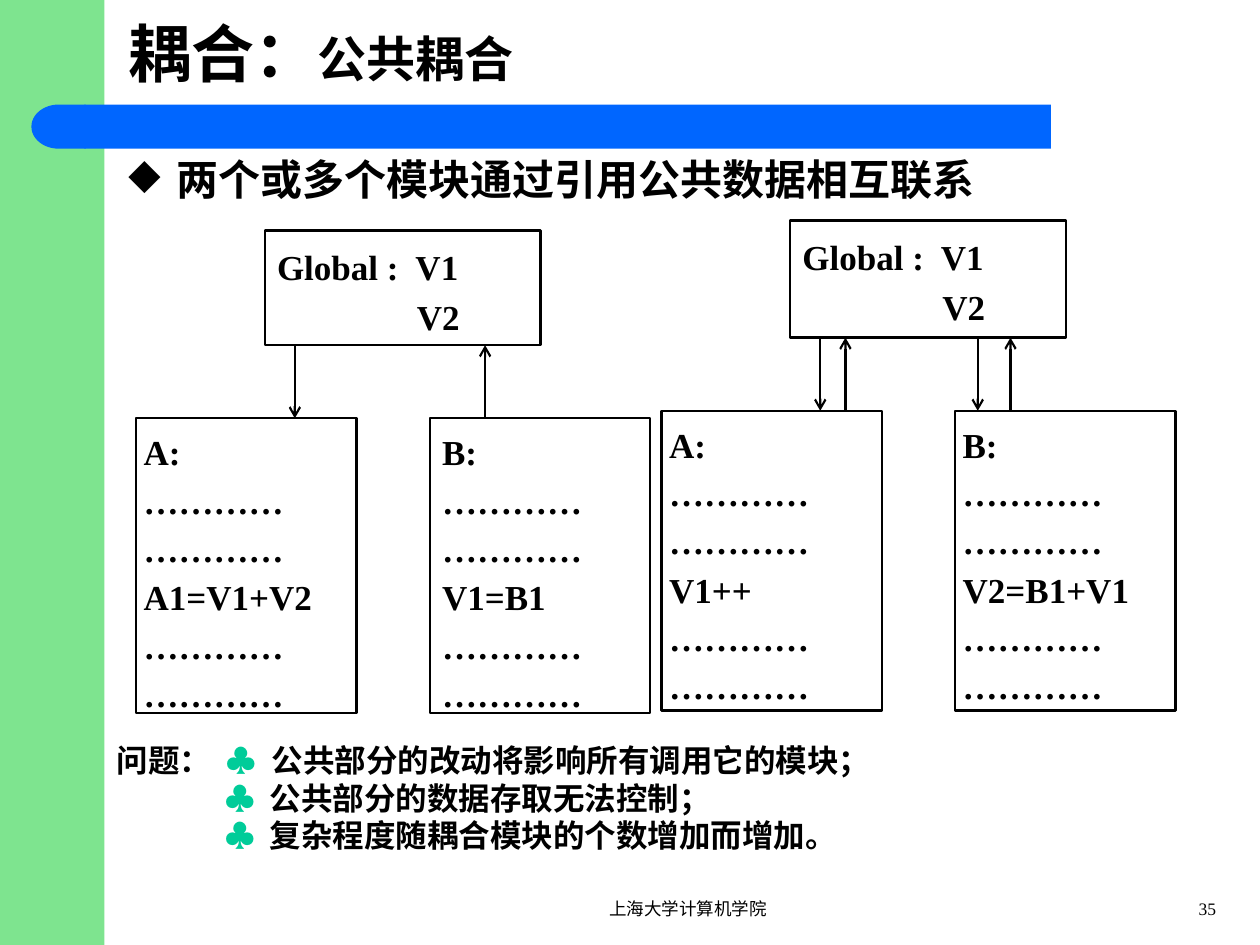
from lxml import etree
from pptx import Presentation
from pptx.dml.color import RGBColor
from pptx.enum.shapes import MSO_CONNECTOR, MSO_SHAPE
from pptx.enum.text import MSO_ANCHOR, PP_ALIGN
from pptx.oxml.ns import qn
from pptx.util import Inches, Pt

RECT, DELAY = MSO_SHAPE.RECTANGLE, MSO_SHAPE.FLOWCHART_DELAY
STRAIGHT = MSO_CONNECTOR.STRAIGHT
TOP, MIDDLE = MSO_ANCHOR.TOP, MSO_ANCHOR.MIDDLE
LEFT, CENTER = PP_ALIGN.LEFT, PP_ALIGN.CENTER
RIGHT, JUSTIFY = PP_ALIGN.RIGHT, PP_ALIGN.JUSTIFY

COLORS = {"black": "000000", "white": "FFFFFF", "side": "7EE48F",
          "bar": "0066FF", "club": "00CC99"}
SERIF, SANS, CLUB_FONT = "Times New Roman", "Noto Sans CJK SC", "Arial"
LINE_WIDTH = Pt(1.25)
WIDE, NARROW = (0.1, 0.1), (0.06, 0.02)  # left and right text insets
DOTS = "…………"

# Each panel: global box, module boxes (left, inset, name, statement), arrows
PANELS = [
    {"global": (2.1, 1.83, 2.19, 0.91), "top": 3.32, "height": 2.34,
     "modules": [(1.08, NARROW, "A:", "A1=V1+V2"),
                 (3.41, WIDE, "B:", "V1=B1")],
     "down": [2.34], "up": [3.85]},
    {"global": (6.27, 1.75, 2.19, 0.93), "top": 3.26, "height": 2.38,
     "modules": [(5.25, NARROW, "A:", "V1++"),
                 (7.58, NARROW, "B:", "V2=B1+V1")],
     "down": [6.51, 7.76], "up": [6.71, 8.02]},
]
PROBLEMS = ["公共部分的改动将影响所有调用它的模块；",
            "公共部分的数据存取无法控制；",
            "复杂程度随耦合模块的个数增加而增加。"]


def rgb(name):
    return RGBColor.from_string(COLORS[name])


def set_frame(frame, insets=WIDE, anchor=TOP):
    left, right = insets
    values = {"word_wrap": True, "vertical_anchor": anchor,
              "margin_left": Inches(left), "margin_right": Inches(right),
              "margin_top": Inches(0.05), "margin_bottom": Inches(0.05)}
    for name, value in values.items():
        setattr(frame, name, value)


def next_paragraph(frame, indent=0, hanging=0, **values):
    """Return the empty first paragraph, or a new one, formatted."""
    first = frame.paragraphs[0]
    para = frame.add_paragraph() if first.runs else first
    for name, value in values.items():
        setattr(para, name, value)
    if indent:
        properties = para._p.get_or_add_pPr()
        properties.set("marL", str(Inches(indent)))
        properties.set("indent", str(-Inches(hanging)))
    return para


def add_span(para, text, size, bold=True, font=SERIF, color="black"):
    span = para.add_run()
    span.text = text
    values = {"size": Pt(size), "bold": bold, "name": font}
    for name, value in values.items():
        setattr(span.font, name, value)
    span.font.color.rgb = rgb(color)


def add_text_box(page, place):
    frame = page.shapes.add_textbox(*map(Inches, place)).text_frame
    set_frame(frame)
    return frame


def add_block(page, kind, place, color):
    block = page.shapes.add_shape(kind, *map(Inches, place))
    block.shadow.inherit = False
    block.fill.solid()
    block.fill.fore_color.rgb = rgb(color)
    block.line.fill.background()
    return block


def add_code_box(page, place, lines, spacing, insets=WIDE):
    """Add an outlined box; lines holds pairs of text and indent."""
    box = add_block(page, RECT, place, "white")
    box.line.color.rgb = rgb("black")
    box.line.width = LINE_WIDTH
    set_frame(box.text_frame, insets)
    for text, indent in lines:
        para = next_paragraph(box.text_frame, indent, alignment=JUSTIFY,
                              line_spacing=spacing)
        add_span(para, text, 20)


def add_arrow(page, x, start, end):
    arrow = page.shapes.add_connector(
        STRAIGHT, Inches(x), Inches(start), Inches(x), Inches(end))
    arrow.line.color.rgb = rgb("black")
    arrow.line.width = LINE_WIDTH
    etree.SubElement(arrow.line._get_or_add_ln(), qn("a:tailEnd"), type="arrow")
    etree.SubElement(arrow._element.spPr, qn("a:effectLst"))


def add_panel(page, panel):
    add_code_box(page, panel["global"],
                 [("Global :  V1", 0), ("V2", 1.11)], 1.2)
    top, height = panel["top"], panel["height"]
    for left, insets, name, statement in panel["modules"]:
        texts = [name, DOTS, DOTS, statement, DOTS, DOTS]
        add_code_box(page, (left, top, 1.75, height),
                     [(text, 0) for text in texts], 1.15, insets)
    bottom = panel["global"][1] + panel["global"][3]
    for x in panel["down"]:
        add_arrow(page, x, bottom, top)
    for x in panel["up"]:
        add_arrow(page, x, top, bottom)


def add_background(page):
    add_block(page, RECT, (0, 0, 0.83, 7.5), "side")
    add_block(page, RECT, (0.67, 0.83, 7.67, 0.35), "bar")
    cap = add_block(page, DELAY, (0.25, 0.83, 0.43, 0.35), "bar")
    cap._element.spPr.xfrm.set("flipH", "1")


def add_title(page):
    title = page.shapes.title
    place = {"left": 0.92, "top": 0, "width": 8.67, "height": 0.83}
    for name, value in place.items():
        setattr(title, name, Inches(value))
    set_frame(title.text_frame, anchor=MIDDLE)
    para = next_paragraph(title.text_frame, alignment=LEFT)
    add_span(para, "耦合：", 36)
    add_span(para, "公共耦合", 28)


def add_definition(page):
    frame = add_text_box(page, (0.92, 1.17, 8.92, 5.75))
    para = next_paragraph(frame, 0.38, 0.38, space_before=Pt(6))
    properties = para._p.get_or_add_pPr()
    color = etree.SubElement(properties, qn("a:buClr"))
    etree.SubElement(color, qn("a:srgbClr"), val=COLORS["black"])
    etree.SubElement(properties, qn("a:buChar"), char="◆")
    add_span(para, "两个或多个模块通过引用公共数据相互联系", 24, font=SANS)


def add_problems(page):
    frame = add_text_box(page, (0.83, 5.83, 8.75, 1))
    for number, problem in enumerate(PROBLEMS):
        para = next_paragraph(frame, 0.85 if number else 0)
        if number == 0:
            add_span(para, "问题：  ", 18)
        add_span(para, "♣  ", 18, font=CLUB_FONT, color="club")
        add_span(para, problem, 18)


def add_footer(page, place, text, alignment):
    para = next_paragraph(add_text_box(page, place), alignment=alignment)
    add_span(para, text, 10, bold=False)


def main():
    deck = Presentation()
    deck.slide_width, deck.slide_height = Inches(10), Inches(7.5)
    page = deck.slides.add_slide(deck.slide_layouts[5])
    add_background(page)
    add_title(page)
    add_definition(page)
    for panel in PANELS:
        add_panel(page, panel)
    add_problems(page)
    add_footer(page, (3.75, 7.08, 3.42, 0.25), "上海大学计算机学院", CENTER)
    add_footer(page, (9, 7.08, 0.75, 0.25), "35", RIGHT)
    deck.save("out.pptx")


if __name__ == "__main__":
    main()
